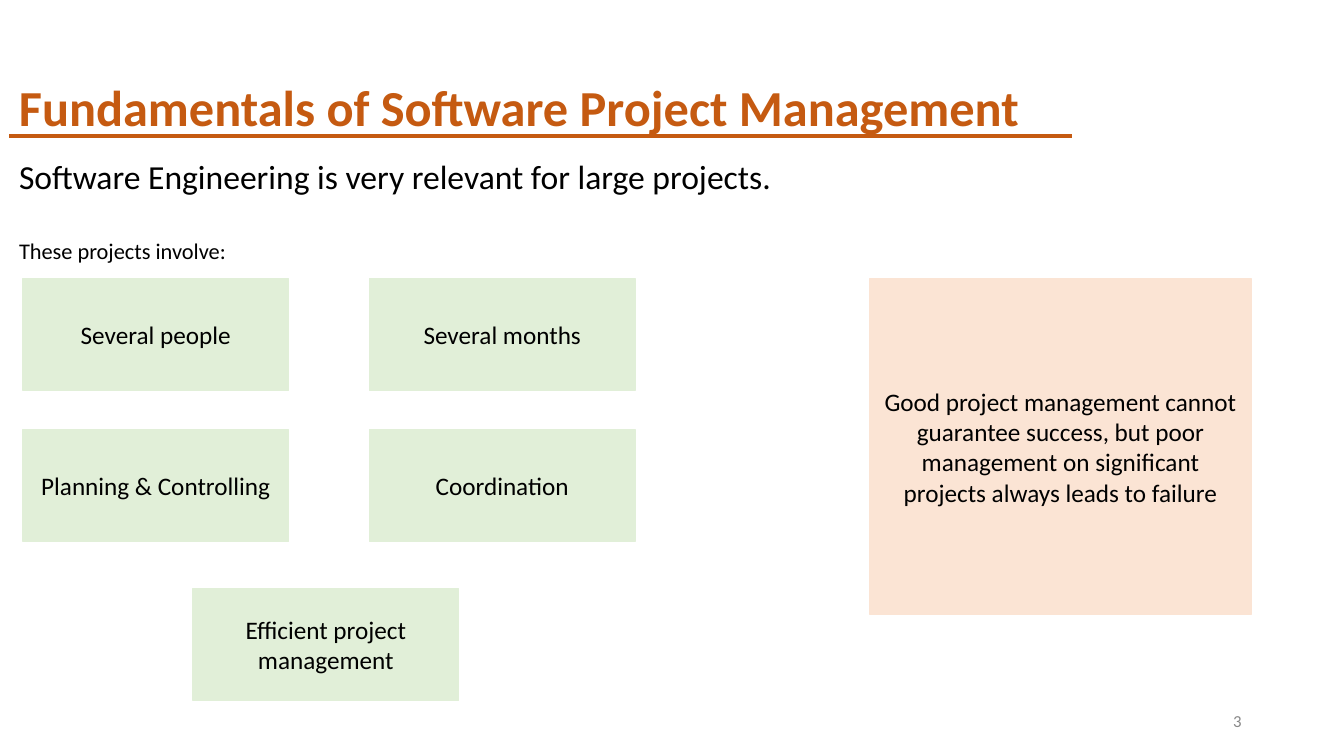
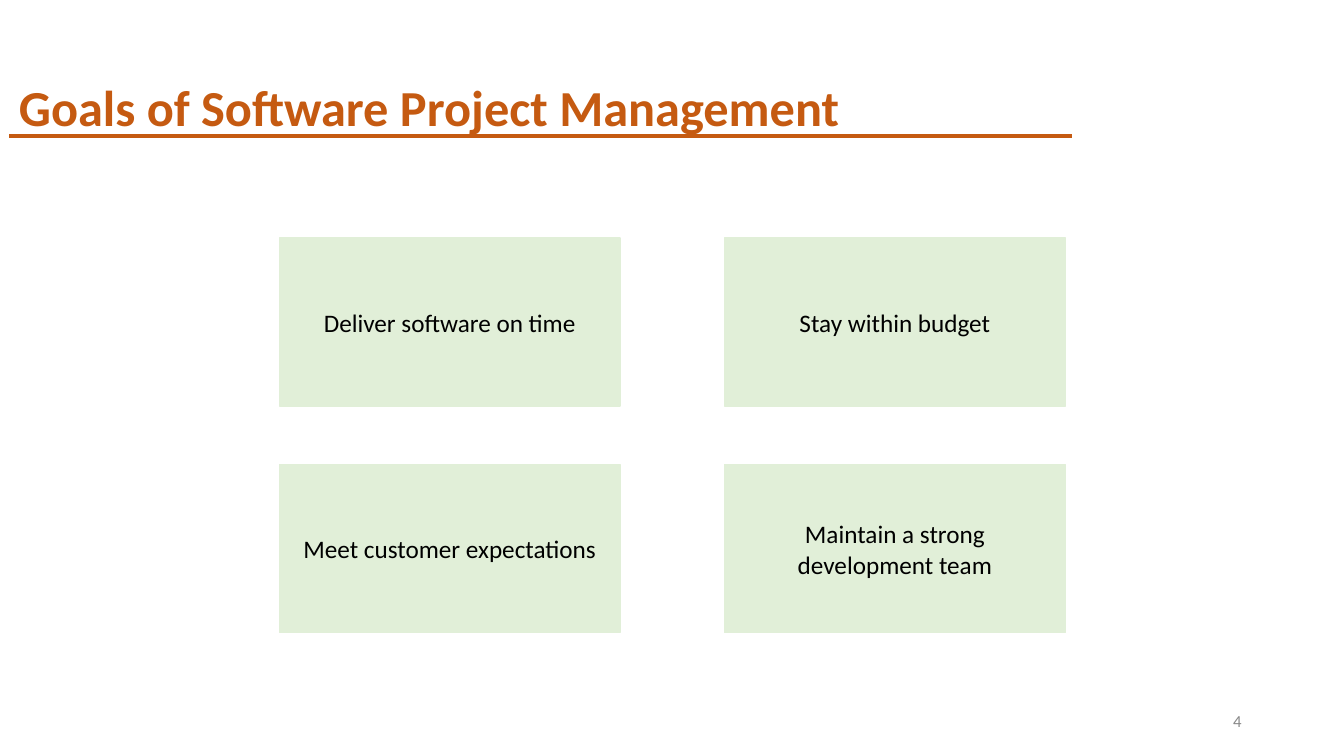
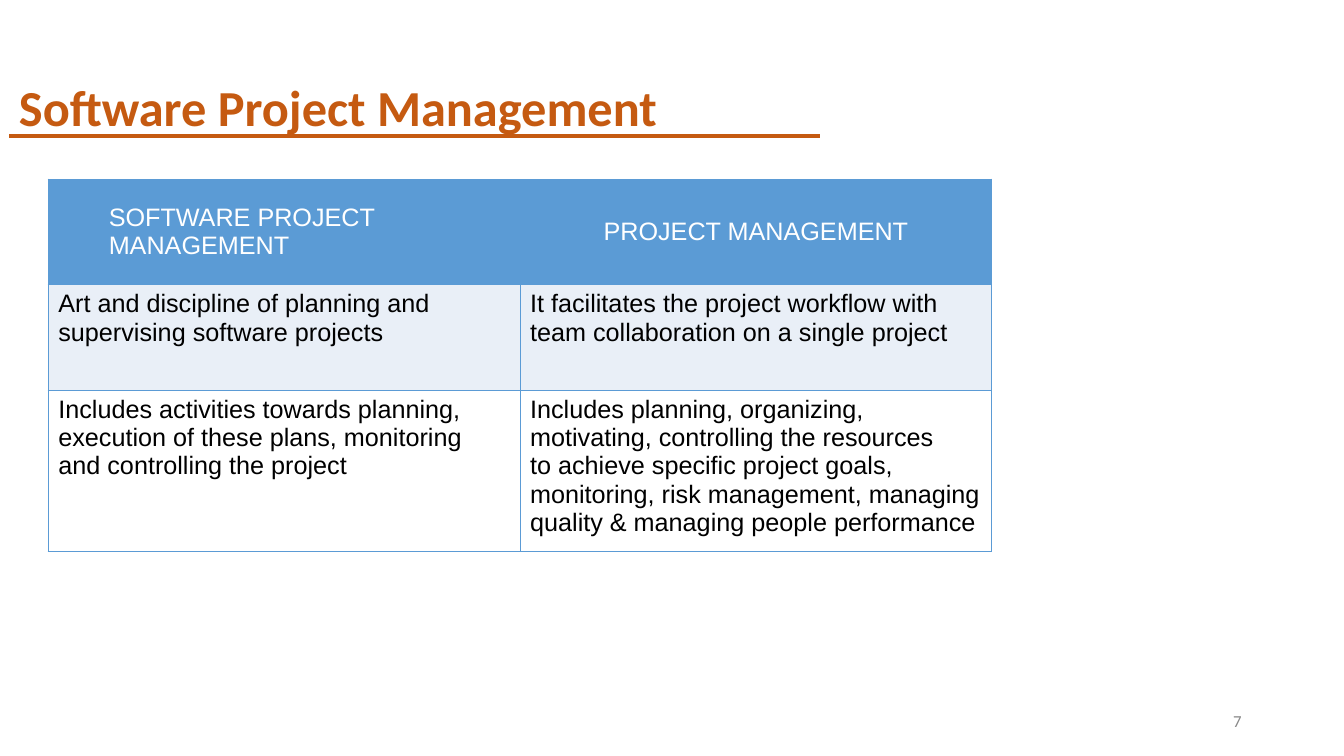
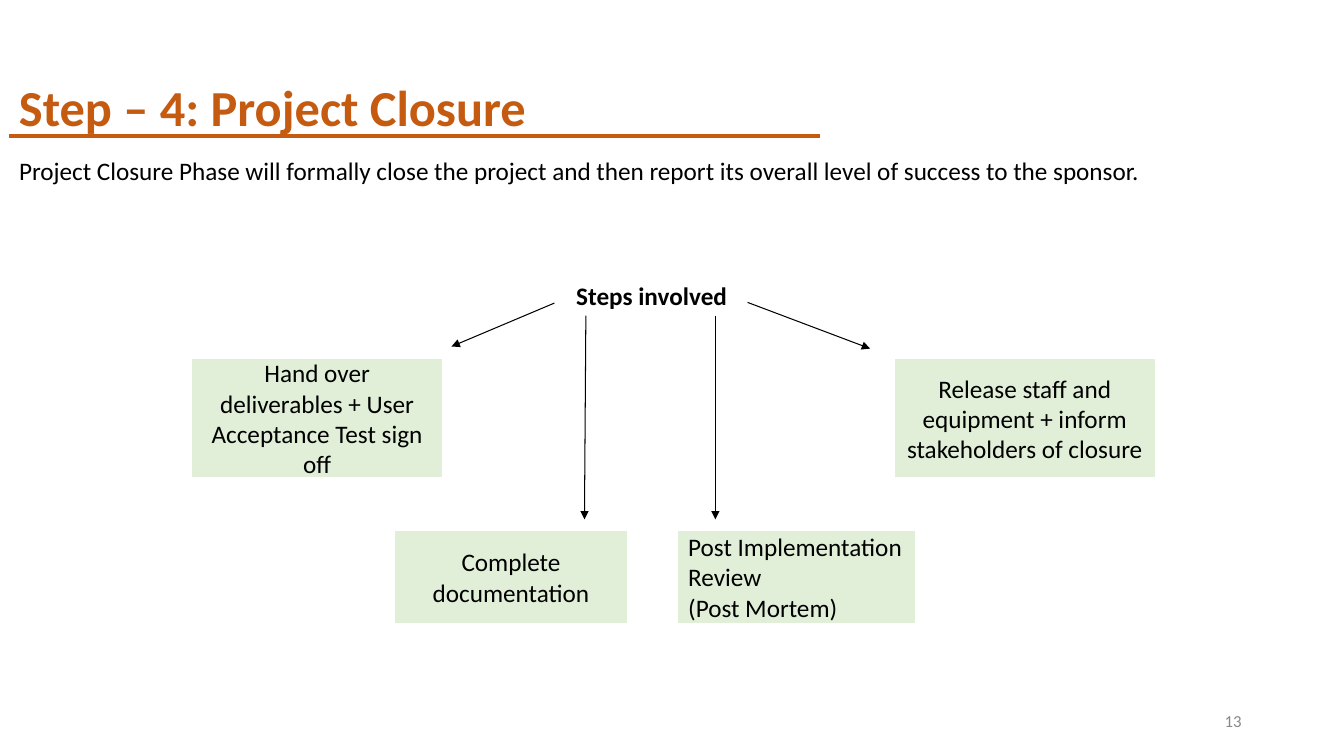
"""Build four slides on software project management."""
from lxml import etree
from pptx import Presentation
from pptx.dml.color import RGBColor
from pptx.enum import shapes, text
from pptx.oxml import ns
from pptx.util import Pt

ORANGE = RGBColor(0xC5, 0x5A, 0x11)
GREEN = RGBColor(0xE1, 0xEF, 0xD8)
PEACH = RGBColor(0xFB, 0xE4, 0xD4)
BLUE = RGBColor(0x5B, 0x9B, 0xD5)
PALE_BLUE = RGBColor(0xE9, 0xEF, 0xF7)
GREY = RGBColor(0x88, 0x88, 0x88)
BLACK = RGBColor(0, 0, 0)
WHITE = RGBColor(0xFF, 0xFF, 0xFF)
LEFT, CENTER, RIGHT = text.PP_ALIGN.LEFT, text.PP_ALIGN.CENTER, text.PP_ALIGN.RIGHT
MIDDLE = text.MSO_ANCHOR.MIDDLE

MARGIN = 6.5
WIDE_RULE, SHORT_RULE = 765.5, 586

PROJECT_TRAITS = ["Several people", "Several months", "Planning & Controlling", "Coordination"]
CALLOUT = ("Good project management cannot guarantee success, but poor management on significant\n"
           "projects always leads to failure")
GOALS = ["Deliver software on time", "Stay within budget",
         "Meet customer expectations", "Maintain a strong development team"]
COMPARISON = [
    ("SOFTWARE PROJECT MANAGEMENT", "PROJECT MANAGEMENT"),
    ("Art and discipline of planning and supervising software projects",
     "It facilitates the project workflow with team collaboration on a single project"),
    ("Includes activities towards planning, execution of these plans, monitoring "
     "and controlling the project",
     "Includes planning, organizing, motivating, controlling the resources\n"
     "to achieve specific project goals, monitoring, risk management, managing\n"
     "quality & managing people performance"),
]
ROW_STYLES = [(75.5, BLUE, WHITE), (75.5, PALE_BLUE, BLACK), (108, WHITE, BLACK)]
CLOSURE_STEPS = [
    ("Hand over deliverables + User Acceptance Test sign off", (137.5, 257, 178, 83.5), CENTER),
    ("Complete documentation", (282.5, 379.5, 165, 65), CENTER),
    ("Post Implementation Review\n(Post Mortem)", (484.5, 379.5, 168.5, 65), LEFT),
    ("Release staff and equipment + inform stakeholders of closure",
     (639.5, 257, 185, 83.5), CENTER),
]
ARROWS = [((396, 216.5), (322.5, 247.5)), ((534, 216), (621.5, 249)),
          ((418.5, 225.5), (417.5, 371)), ((511, 225.5), (511, 371))]


def write(frame, words, size=18, color=BLACK, bold=False, align=LEFT, font="Calibri"):
    frame.text = words
    frame.word_wrap = True
    for para in frame.paragraphs:
        para.alignment = align
        for span in para.runs:
            span.font.name, span.font.size = font, Pt(size)
            span.font.color.rgb, span.font.bold = color, bold


def add_text(page, words, place, **style):
    box = page.shapes.add_textbox(*map(Pt, place))
    write(box.text_frame, words, **style)
    return box.text_frame


def add_box(page, words, place, fill=GREEN, align=CENTER):
    box = page.shapes.add_shape(shapes.MSO_SHAPE.RECTANGLE, *map(Pt, place))
    box.shadow.inherit = False
    box.fill.solid()
    box.fill.fore_color.rgb = box.line.color.rgb = fill
    box.line.width = Pt(1)
    box.text_frame.vertical_anchor = MIDDLE
    write(box.text_frame, words, align=align)


def add_grid(page, labels, left, top, width, height, step_x, step_y):
    for index, label in enumerate(labels):
        row, column = divmod(index, 2)
        add_box(page, label, (left + column * step_x, top + row * step_y, width, height))


def add_line(page, start, end, color, width, arrow=False):
    line = page.shapes.add_connector(shapes.MSO_CONNECTOR.STRAIGHT, *map(Pt, start + end))
    line.line.color.rgb, line.line.width = color, Pt(width)
    if arrow:
        etree.SubElement(line.line._get_or_add_ln(), ns.qn("a:tailEnd"), type="triangle")
    etree.SubElement(line._element.spPr, ns.qn("a:effectLst"))


def add_page(deck, title, number, rule_end):
    page = deck.slides.add_slide(deck.slide_layouts[6])
    add_text(page, title, (MARGIN, 51, 853, 36), size=36, color=ORANGE, bold=True)
    add_line(page, (MARGIN, 97), (rule_end, 97), ORANGE, 3)
    footer = add_text(page, str(number), (678, 500.5, 216, 29), size=12, color=GREY, align=RIGHT)
    footer.vertical_anchor = MIDDLE
    return page


def set_borders(cell, colored):
    properties = cell._tc.get_or_add_tcPr()
    for side in "LRTB":
        edge = etree.SubElement(properties, ns.qn(f"a:ln{side}"), w=str(Pt(1)))
        if side in colored:
            fill = etree.SubElement(edge, ns.qn("a:solidFill"))
            etree.SubElement(fill, ns.qn("a:srgbClr"), val=str(BLUE))
        else:
            etree.SubElement(edge, ns.qn("a:noFill"))


def add_comparison(page):
    left, top, column_width = 34.5, 128, 337
    heights = [style[0] for style in ROW_STYLES]
    table = page.shapes.add_table(
        len(COMPARISON), 2, *map(Pt, (left, top, 2 * column_width, sum(heights)))).table
    for column in table.columns:
        column.width = Pt(column_width)
    for r, (words, (height, fill, color)) in enumerate(zip(COMPARISON, ROW_STYLES)):
        table.rows[r].height = Pt(height)
        for c, label in enumerate(words):
            cell = table.cell(r, c)
            set_borders(cell, ("LTB", "RTB")[c])
            cell.fill.solid()
            cell.fill.fore_color.rgb = fill
            write(cell.text_frame, label, color=color, font="Arial")
    first, second = table.cell(0, 0), table.cell(0, 1)
    first.vertical_anchor = second.vertical_anchor = MIDDLE
    first.text_frame.paragraphs[0]._p.get_or_add_pPr().set("marL", str(Pt(36)))
    second.text_frame.paragraphs[0].alignment = CENTER
    add_line(page, (left + column_width, top), (left + column_width, 394), BLUE, 0.75)


def main():
    deck = Presentation()
    deck.slide_width, deck.slide_height = Pt(960), Pt(540)

    page = add_page(deck, "Fundamentals of Software Project Management", 3, WIDE_RULE)
    intro = add_text(page, "Software Engineering is very relevant for large projects.\n"
                     "These projects involve:", (MARGIN, 107.5, 563, 85), size=24)
    intro.paragraphs[1].space_before = Pt(29.3)
    intro.paragraphs[1].runs[0].font.size = Pt(16)
    add_grid(page, PROJECT_TRAITS, 16.5, 199, 189.5, 80, 247.5, 108)
    add_box(page, "Efficient project management", (138, 420.5, 189.5, 80))
    add_box(page, CALLOUT, (621.5, 199, 272, 240), fill=PEACH)

    page = add_page(deck, "Goals of Software Project Management", 4, WIDE_RULE)
    add_grid(page, GOALS, 199.5, 170, 243.5, 120, 318, 162)

    add_comparison(add_page(deck, "Software Project Management", 7, SHORT_RULE))

    page = add_page(deck, "Step – 4: Project Closure", 13, SHORT_RULE)
    add_text(page, "Project Closure Phase will formally close the project and then report "
             "its overall level of success to the sponsor.", (MARGIN, 107.5, 826, 29))
    add_text(page, "Steps involved", (404.5, 196.5, 286, 29), bold=True)
    for words, place, align in CLOSURE_STEPS:
        add_box(page, words, place, align=align)
    for start, end in ARROWS:
        add_line(page, start, end, BLACK, 0.75, arrow=True)

    deck.save("out.pptx")


if __name__ == "__main__":
    main()
